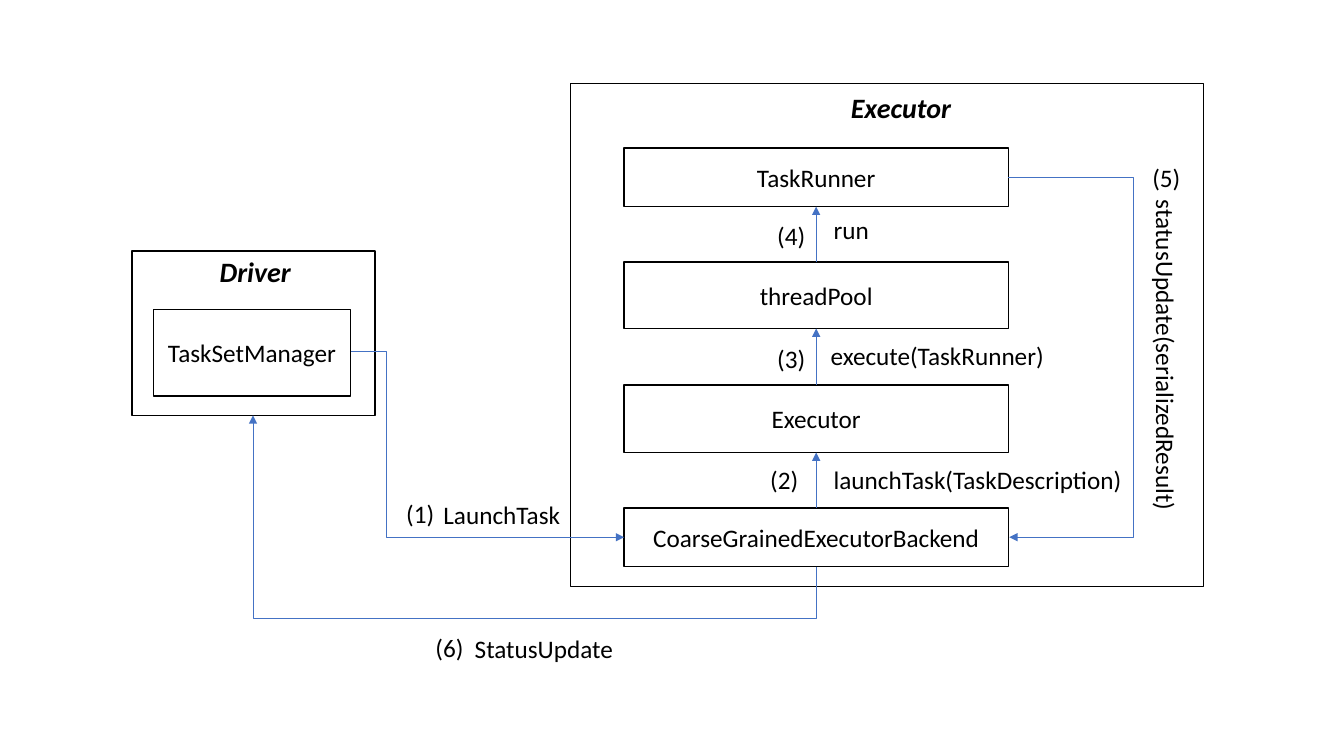
from itertools import pairwise
from lxml.etree import SubElement
from pptx import Presentation
from pptx.dml.color import RGBColor
from pptx.enum.shapes import MSO_CONNECTOR, MSO_SHAPE
from pptx.enum.text import MSO_ANCHOR, MSO_AUTO_SIZE, PP_ALIGN
from pptx.oxml.ns import qn
from pptx.util import Inches, Pt

COLORS = {
    "box": "FFFFFF",
    "outline": "000000",
    "text": "000000",
    "arrow": "4472C4",
}
LABEL_FONT = {"name": "Calibri", "size": Pt(18)}
TITLE_FONT = {"name": "Calibri", "size": Pt(20), "bold": True, "italic": True}


def write(shape, text, font_format):
    paragraph = shape.text_frame.paragraphs[0]
    run = paragraph.add_run()
    run.text = text
    for name, value in font_format.items():
        setattr(run.font, name, value)
    run.font.color.rgb = RGBColor.from_string(COLORS["text"])
    return paragraph


def add_arrow(kind, begin, end):
    arrow = slide.shapes.add_connector(kind, *map(Inches, begin + end))
    arrow.line.color.rgb = RGBColor.from_string(COLORS["arrow"])
    arrow.line.width = Pt(0.5)
    SubElement(arrow.line._get_or_add_ln(), qn("a:tailEnd"), type="triangle")
    SubElement(arrow._element.spPr, qn("a:effectLst"))
    return arrow


presentation = Presentation()
presentation.slide_width = Inches(13.33)
presentation.slide_height = Inches(7.5)
slide = presentation.slides.add_slide(presentation.slide_layouts[6])

# Frames and component boxes: text, left, top, width, height
boxes = {}
for name, text, left, top, width, height in [
    ("driver frame", "", 1.31, 2.49, 2.41, 1.63),
    ("executor frame", "", 5.66, 0.83, 6.28, 4.99),
    ("manager", "TaskSetManager", 1.52, 3.07, 1.96, 0.86),
    ("backend", "CoarseGrainedExecutorBackend", 6.19, 5.04, 3.81, 0.58),
    ("executor", "Executor", 6.19, 3.82, 3.81, 0.67),
    ("pool", "threadPool", 6.19, 2.6, 3.81, 0.66),
    ("runner", "TaskRunner", 6.19, 1.47, 3.81, 0.58),
]:
    box = slide.shapes.add_shape(
        MSO_SHAPE.RECTANGLE, *map(Inches, (left, top, width, height)))
    box.shadow.inherit = False
    box.fill.solid()
    box.fill.fore_color.rgb = RGBColor.from_string(COLORS["box"])
    box.line.color.rgb = RGBColor.from_string(COLORS["outline"])
    box.line.width = Pt(1)
    if text:
        box.text_frame.vertical_anchor = MSO_ANCHOR.MIDDLE
        write(box, text, LABEL_FONT).alignment = PP_ALIGN.CENTER
    boxes[name] = box

# Upward arrows through the executor stack
for lower, upper in pairwise(["backend", "executor", "pool", "runner"]):
    arrow = add_arrow(MSO_CONNECTOR.STRAIGHT, (0, 0), (0, 0))
    arrow.begin_connect(boxes[lower], 0)
    arrow.end_connect(boxes[upper], 2)

# Elbow arrows: begin, end, position of the middle segment, quarter turn
for begin, end, bend, turned in [
    ((3.48, 3.49), (6.19, 5.33), 3.83, False),
    ((10, 1.76), (10.01, 5.33), 11.26, False),
    ((8.1, 5.62), (2.51, 4.12), 6.13, True),
]:
    axis = 1 if turned else 0
    ratio = (bend - begin[axis]) / (end[axis] - begin[axis])
    if turned:
        # Turn both ends back about the centre; the rotation restores them
        center_x, center_y = [(a + b) / 2 for a, b in zip(begin, end)]
        begin, end = [(center_x + y - center_y, center_y - x + center_x)
                      for x, y in (begin, end)]
    arrow = add_arrow(MSO_CONNECTOR.ELBOW, begin, end)
    properties = arrow._element.spPr
    if turned:
        properties.find(qn("a:xfrm")).set("rot", str(90 * 60000))
    adjustments = properties.find(qn("a:prstGeom")).get_or_add_avLst()
    SubElement(adjustments, qn("a:gd"), name="adj1",
               fmla=f"val {round(ratio * 100000)}")

# Titles, call labels and step numbers: text, left, top, width, rotation
for text, left, top, width, rotation, font_format in [
    ("Driver", 2.08, 2.48, 0.92, 0, TITLE_FONT),
    ("Executor", 8.34, 0.85, 1.22, 0, TITLE_FONT),
    ("LaunchTask", 4.3, 4.9, 1.37, 0, LABEL_FONT),
    ("launchTask(TaskDescription)", 8.17, 4.56, 3.14, 0, LABEL_FONT),
    ("execute(TaskRunner)", 8.14, 3.33, 2.34, 0, LABEL_FONT),
    ("run", 8.17, 2.08, 0.56, 0, LABEL_FONT),
    ("statusUpdate(serializedResult)", 9.91, 3.34, 3.31, 90, LABEL_FONT),
    ("StatusUpdate", 4.61, 6.23, 1.59, 0, LABEL_FONT),
    ("(1)", 3.93, 4.89, 0.48, 0, LABEL_FONT),
    ("(2)", 7.54, 4.56, 0.48, 0, LABEL_FONT),
    ("(3)", 7.61, 3.36, 0.48, 0, LABEL_FONT),
    ("(4)", 7.61, 2.14, 0.48, 0, LABEL_FONT),
    ("(5)", 11.33, 1.56, 0.48, 0, LABEL_FONT),
    ("(6)", 4.22, 6.22, 0.48, 0, LABEL_FONT),
]:
    height = 0.44 if font_format is TITLE_FONT else 0.4
    label = slide.shapes.add_textbox(*map(Inches, (left, top, width, height)))
    label.rotation = rotation
    label.text_frame.word_wrap = False
    label.text_frame.auto_size = MSO_AUTO_SIZE.SHAPE_TO_FIT_TEXT
    write(label, text, font_format)

presentation.save("out.pptx")
